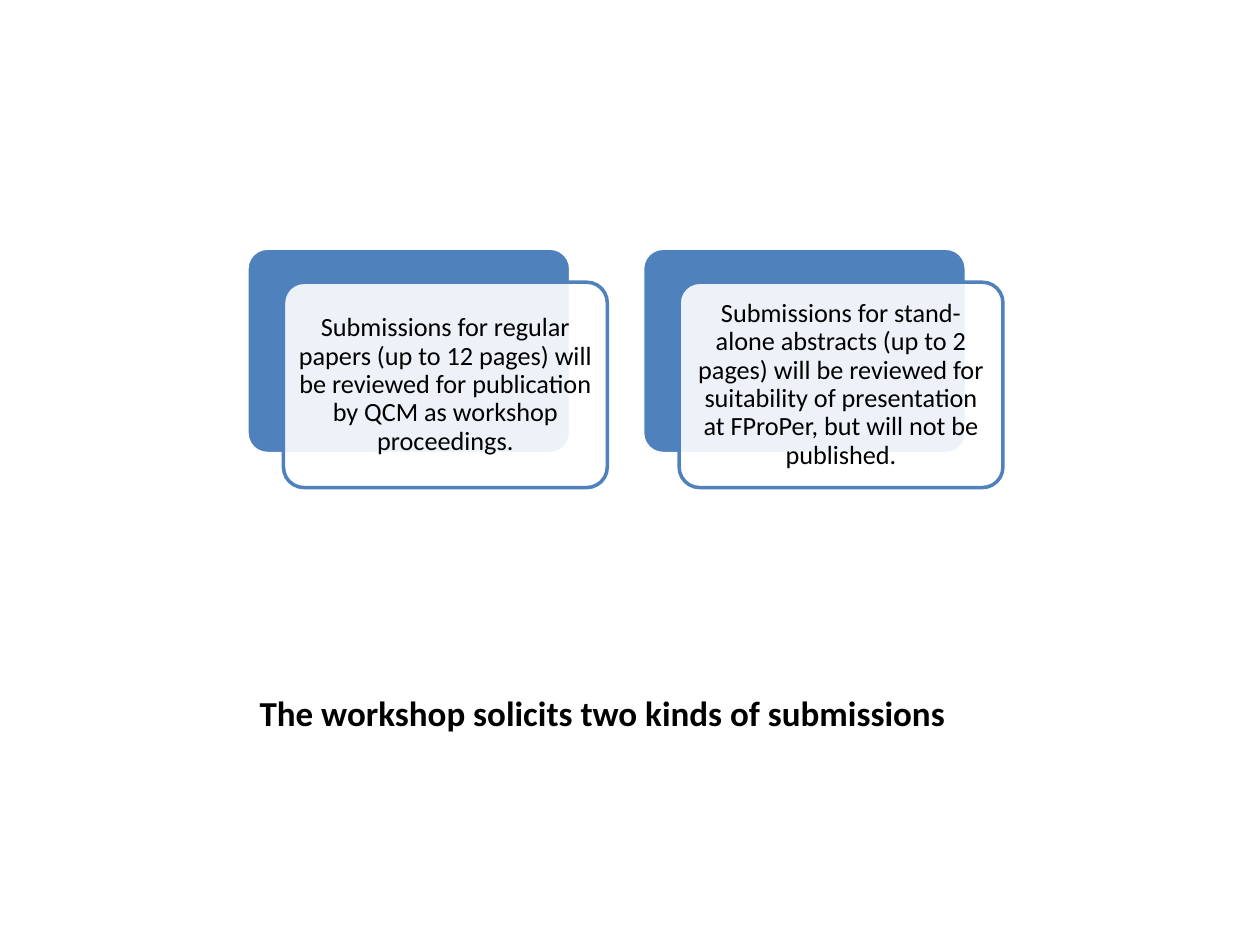
from lxml import etree
from pptx import Presentation
from pptx.dml.color import RGBColor
from pptx.enum.shapes import MSO_SHAPE
from pptx.enum.text import MSO_ANCHOR, MSO_AUTO_SIZE, PP_ALIGN
from pptx.oxml.ns import qn
from pptx.util import Inches, Pt

ROUND_RECT = MSO_SHAPE.ROUNDED_RECTANGLE
MIDDLE, BOTTOM = MSO_ANCHOR.MIDDLE, MSO_ANCHOR.BOTTOM
LEFT, CENTER = PP_ALIGN.LEFT, PP_ALIGN.CENTER
NO_AUTOFIT = MSO_AUTO_SIZE.NONE

COLORS = {"blue": "4F81BD", "white": "FFFFFF", "text": "000000"}
FONT = "Calibri"
TITLE = "The workshop solicits two kinds of submissions"
SUBMISSION_KINDS = [
    "Submissions for regular papers (up to 12 pages) will be reviewed "
    "for publication by QCM as workshop proceedings.",
    "Submissions for stand-alone abstracts (up to 2 pages) will be reviewed "
    "for suitability of presentation at FProPer, but will not be published.",
]
CARD_W, CARD_H = 2.57, 1.63
OFFSET_X, OFFSET_Y = 0.29, 0.27
CARD_PITCH = 3.14


def rgb(name):
    return RGBColor.from_string(COLORS[name])


def set_font(p, size, bold=False):
    p.font.name = FONT
    p.font.size = Pt(size)
    p.font.bold = bold
    p.font.color.rgb = rgb("text")


def add_title(slide, left, top, width, height):
    title = slide.shapes.title
    title.left, title.top = Inches(left), Inches(top)
    title.width, title.height = Inches(width), Inches(height)
    tf = title.text_frame
    tf.text = TITLE
    tf.auto_size = NO_AUTOFIT
    tf.vertical_anchor = BOTTOM
    p = tf.paragraphs[0]
    p.alignment = LEFT
    set_font(p, 20, bold=True)


def add_panel(shapes, left, top, fill, line):
    sp = shapes.add_shape(ROUND_RECT, Inches(left), Inches(top),
                          Inches(CARD_W), Inches(CARD_H))
    sp.adjustments[0] = 0.1
    sp.shadow.inherit = False
    sp.fill.solid()
    sp.fill.fore_color.rgb = rgb(fill)
    sp.line.color.rgb = rgb(line)
    sp.line.width = Pt(2)
    return sp


def set_opacity(sp, percent):
    color = sp.fill._xPr.find(qn("a:solidFill"))[0]
    etree.SubElement(color, qn("a:alpha")).set("val", str(percent * 1000))


def add_card(shapes, left, top, text):
    """Blue panel with a translucent, captioned panel offset in front of it."""
    add_panel(shapes, left, top, "blue", "white")
    front = add_panel(shapes, left + OFFSET_X, top + OFFSET_Y, "white", "blue")
    set_opacity(front, 90)
    tf = front.text_frame
    tf.text = text
    tf.word_wrap = True
    tf.vertical_anchor = MIDDLE
    tf.margin_left = tf.margin_right = Inches(0.06)
    tf.margin_top = tf.margin_bottom = Inches(0.06)
    p = tf.paragraphs[0]
    p.alignment = CENTER
    p.line_spacing = 0.9
    set_font(p, 15)


def add_cards(slide, left, top):
    group = slide.shapes.add_group_shape()
    for i, text in enumerate(SUBMISSION_KINDS):
        add_card(group.shapes, left + i * CARD_PITCH, top, text)


def main():
    prs = Presentation()
    prs.slide_width, prs.slide_height = Inches(10), Inches(7.5)
    title_only = prs.slide_layouts[5]
    slide = prs.slides.add_slide(title_only)
    add_title(slide, 1.96, 5.25, 6, 0.62)
    add_cards(slide, 1.96, 1.97)
    prs.save("out.pptx")


if __name__ == "__main__":
    main()
